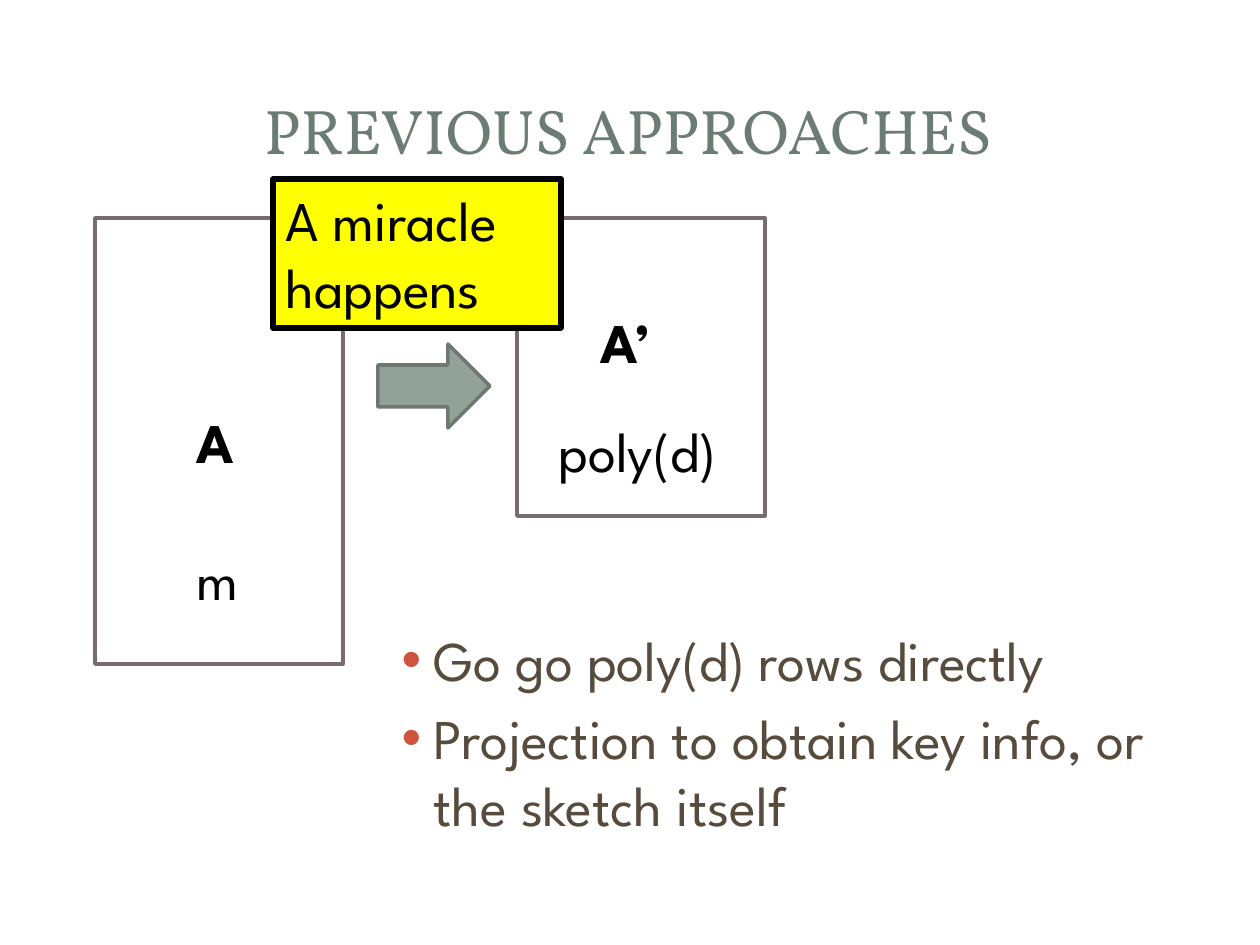
import pptx
import pptx.util
import pptx.dml.color
import pptx.enum.shapes
import pptx.enum.text
import pptx.oxml.ns
from dataclasses import dataclass
from lxml import etree

SHAPE = pptx.enum.shapes.MSO_SHAPE
ANCHOR = pptx.enum.text.MSO_ANCHOR
ALIGN = pptx.enum.text.PP_ALIGN
EMU_PER_PX = 914400 / 126


def px(length):
    return pptx.util.Emu(round(length * EMU_PER_PX))


def rgb(color):
    return pptx.dml.color.RGBColor.from_string(color)


@dataclass(frozen=True)
class Theme:
    heading_font: str = "Vollkorn"
    body_font: str = "League Spartan"
    title_size: int = 36
    text_size: int = 32
    title: str = "6B7D72"
    body: str = "564B3C"
    bullet: str = "CF543F"
    ink: str = "000000"
    frame: str = "786C71"
    arrow: str = "93A299"
    arrow_edge: str = "6D7871"
    callout: str = "FFFF00"


class SlideBuilder:
    def __init__(self, slide, theme):
        self.slide = slide
        self.theme = theme

    def place(self, shape, left, top, width, height):
        shape.left, shape.top = px(left), px(top)
        shape.width, shape.height = px(width), px(height)

    def style(self, para, font, size, color, bold=False):
        for span in para.runs:
            span.font.name = font
            span.font.size = pptx.util.Pt(size)
            span.font.bold = bold
            span.font.color.rgb = rgb(color)

    def frame_text(self, shape, text, bold=False):
        frame = shape.text_frame
        frame.word_wrap = True
        frame.vertical_anchor = ANCHOR.TOP
        frame.text = text
        para = frame.paragraphs[0]
        para.alignment = ALIGN.LEFT
        self.style(para, self.theme.body_font, self.theme.text_size,
                   self.theme.ink, bold)

    def title(self, text, *area):
        title = self.slide.shapes.title
        self.place(title, *area)
        frame = title.text_frame
        frame.text = text
        frame.vertical_anchor = ANCHOR.MIDDLE
        para = frame.paragraphs[0]
        para.alignment = ALIGN.CENTER
        self.style(para, self.theme.heading_font, self.theme.title_size,
                   self.theme.title)

    def bullets(self, items, *area):
        body = self.slide.placeholders[1]
        self.place(body, *area)
        frame = body.text_frame
        frame.auto_size = pptx.enum.text.MSO_AUTO_SIZE.NONE
        frame.text = "\n".join(items)
        for index, para in enumerate(frame.paragraphs):
            para.level = 1
            self.add_bullet(para)
            para.space_before = pptx.util.Pt(6.4 if index else 0)
            self.style(para, self.theme.body_font, self.theme.text_size,
                       self.theme.body)

    def add_bullet(self, para):
        qn = pptx.oxml.ns.qn
        props = para._p.get_or_add_pPr()
        props.set("marL", str(px(88)))
        props.set("indent", str(px(-32)))
        color = etree.SubElement(props, qn("a:buClr"))
        etree.SubElement(color, qn("a:srgbClr"), val=self.theme.bullet)
        etree.SubElement(props, qn("a:buChar"), char="•")

    def shape(self, kind, *area, line, fill=None, weight=2):
        shape = self.slide.shapes.add_shape(kind, *map(px, area))
        shape.shadow.inherit = False
        if fill:
            shape.fill.solid()
            shape.fill.fore_color.rgb = rgb(fill)
        else:
            shape.fill.background()
        shape.line.color.rgb = rgb(line)
        shape.line.width = pptx.util.Pt(weight)
        return shape

    def label(self, text, left, top, width, bold=False):
        box = self.slide.shapes.add_textbox(*map(px, (left, top, width, 81)))
        self.frame_text(box, text, bold)


def main():
    deck = pptx.Presentation()
    deck.slide_width, deck.slide_height = px(1260), px(945)
    theme = Theme()
    page = SlideBuilder(deck.slides.add_slide(deck.slide_layouts[1]), theme)

    # Title and list
    page.title("PREVIOUS APPROACHES", 59, 57, 1138, 144)
    page.bullets(["Go go poly(d) rows directly",
                  "Projection to obtain key info, or the sketch itself"],
                 333, 619, 863, 239)

    # Arrow between the two matrices
    page.shape(SHAPE.RIGHT_ARROW, 378, 344, 112, 84,
               line=theme.arrow_edge, fill=theme.arrow)

    # Matrix A with m rows
    page.label("A", 184, 401, 68, bold=True)
    page.shape(SHAPE.RECTANGLE, 95, 218, 248, 446, line=theme.frame)
    page.label("m", 184, 538, 68)

    # Smaller matrix A’ with poly(d) rows
    page.label("A’", 588, 301, 105, bold=True)
    page.shape(SHAPE.RECTANGLE, 517, 218, 248, 298, line=theme.frame)
    page.label("poly(d)", 546, 410, 238)

    # Callout over the step
    callout = page.shape(SHAPE.RECTANGLE, 273, 179, 288, 149,
                         line=theme.ink, fill=theme.callout, weight=3)
    page.frame_text(callout, "A miracle happens")

    deck.save("out.pptx")


if __name__ == "__main__":
    main()
